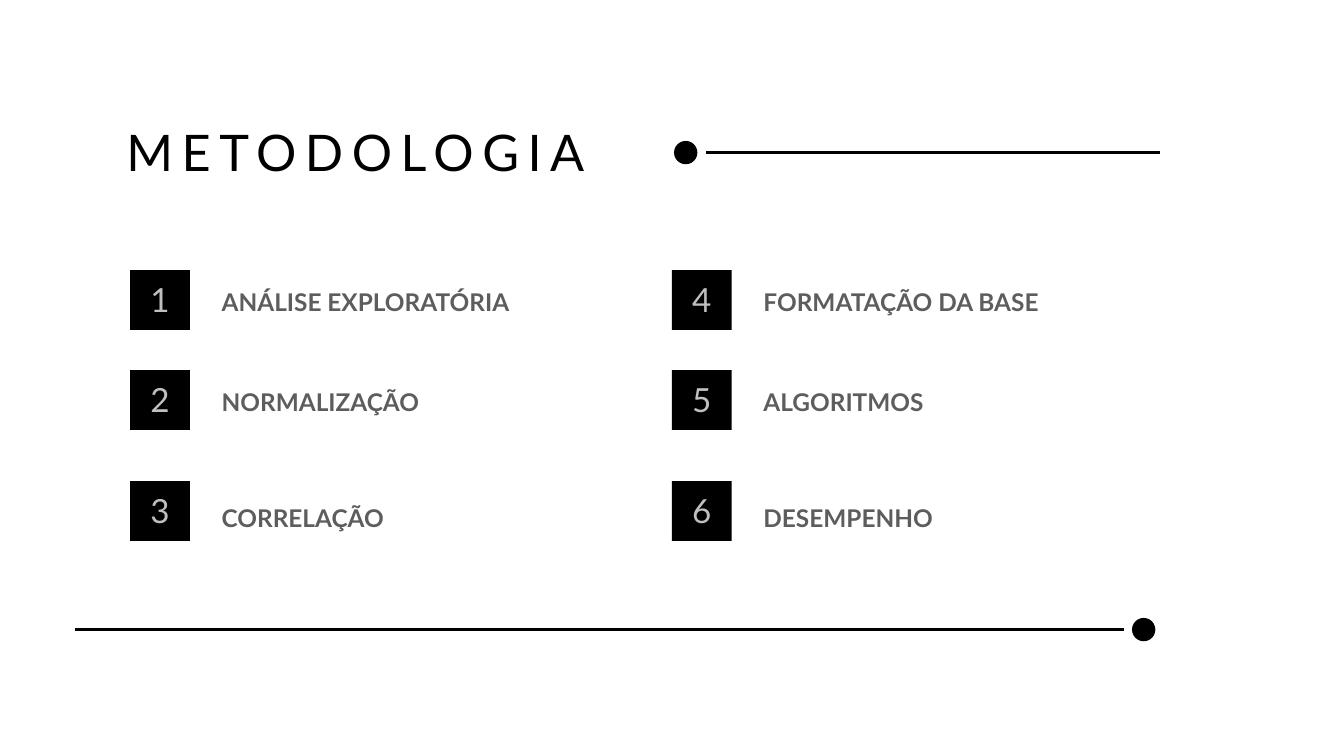
from pptx import Presentation
from pptx.dml.color import RGBColor
from pptx.enum.shapes import MSO_CONNECTOR, MSO_SHAPE
from pptx.enum.text import MSO_AUTO_SIZE, PP_ALIGN
from pptx.oxml.ns import qn
from pptx.util import Pt
from lxml.etree import SubElement

TITLE = "METODOLOGIA"
STEPS = [
    ["ANÁLISE EXPLORATÓRIA", "NORMALIZAÇÃO", "CORRELAÇÃO"],
    ["FORMATAÇÃO DA BASE", "ALGORITMOS", "DESEMPENHO"],
]
COLS = [139.5, 720]
ROWS = [(289.5, 13), (396.7, 13), (515.5, 18.7)]
RULES = [(1243.4, 756.7, 163.5, 734.7), (80.6, 1203.8, 674.6, 1225.4)]
SIDE, DOT = 64, 25
COLORS = {"ink": "000000", "digit": "BFBFBF", "label": "5D5D5D", "back": "FFFFFF"}
FONT = "Lato"


def color(name):
    return RGBColor.from_string(COLORS[name])


def add_block(slide, kind, x, y, size):
    block = slide.shapes.add_shape(kind, Pt(x), Pt(y), Pt(size), Pt(size))
    block.shadow.inherit = False
    block.fill.solid()
    block.fill.fore_color.rgb = color("ink")
    block.line.fill.background()


def add_text(slide, text, box, size, tone, lead, align, bold=False, gap=0):
    frame = slide.shapes.add_textbox(*map(Pt, box)).text_frame
    frame.margin_left = frame.margin_right = 0
    frame.margin_top = frame.margin_bottom = 0
    frame.word_wrap = True
    frame.auto_size = MSO_AUTO_SIZE.SHAPE_TO_FIT_TEXT
    frame.text = text
    para = frame.paragraphs[0]
    para.alignment = align
    para.line_spacing = Pt(lead)
    font = para.runs[0].font
    font.name, font.size, font.bold = FONT, Pt(size), bold
    font.color.rgb = color(tone)
    if gap:
        para.runs[0]._r.get_or_add_rPr().set("spc", str(int(gap * 100)))


def add_rule(slide, start, end, y, mid):
    line = slide.shapes.add_connector(
        MSO_CONNECTOR.STRAIGHT, Pt(start), Pt(y), Pt(end), Pt(y))
    line.line.color.rgb = color("ink")
    line.line.width = Pt(3)
    SubElement(line._element.spPr, qn("a:effectLst"))
    add_block(slide, MSO_SHAPE.OVAL, mid - DOT / 2, y - DOT / 2, DOT)


def main():
    deck = Presentation()
    deck.slide_width, deck.slide_height = Pt(1440), Pt(810)
    slide = deck.slides.add_slide(deck.slide_layouts[6])
    slide.background.fill.solid()
    slide.background.fill.fore_color.rgb = color("back")

    add_text(slide, TITLE, (135.4, 136.1, 639.4, 59.8), 54, "ink", 58.3,
             PP_ALIGN.JUSTIFY, gap=9.2)
    for col, (x, names) in enumerate(zip(COLS, STEPS)):
        for row, ((y, drop), name) in enumerate(zip(ROWS, names)):
            digit = str(col * len(ROWS) + row + 1)
            add_block(slide, MSO_SHAPE.RECTANGLE, x, y, SIDE)
            add_text(slide, digit, (x + 6.7, y + 13.7, 50.4, 39.6), 35.6,
                     "digit", 38.4, PP_ALIGN.CENTER, gap=6)
            add_text(slide, name, (x + 98, y + drop, 333.4, 34.6), 26.1,
                     "label", 36.5, PP_ALIGN.JUSTIFY, bold=True)
    for rule in RULES:
        add_rule(slide, *rule)

    deck.save("out.pptx")


if __name__ == "__main__":
    main()
